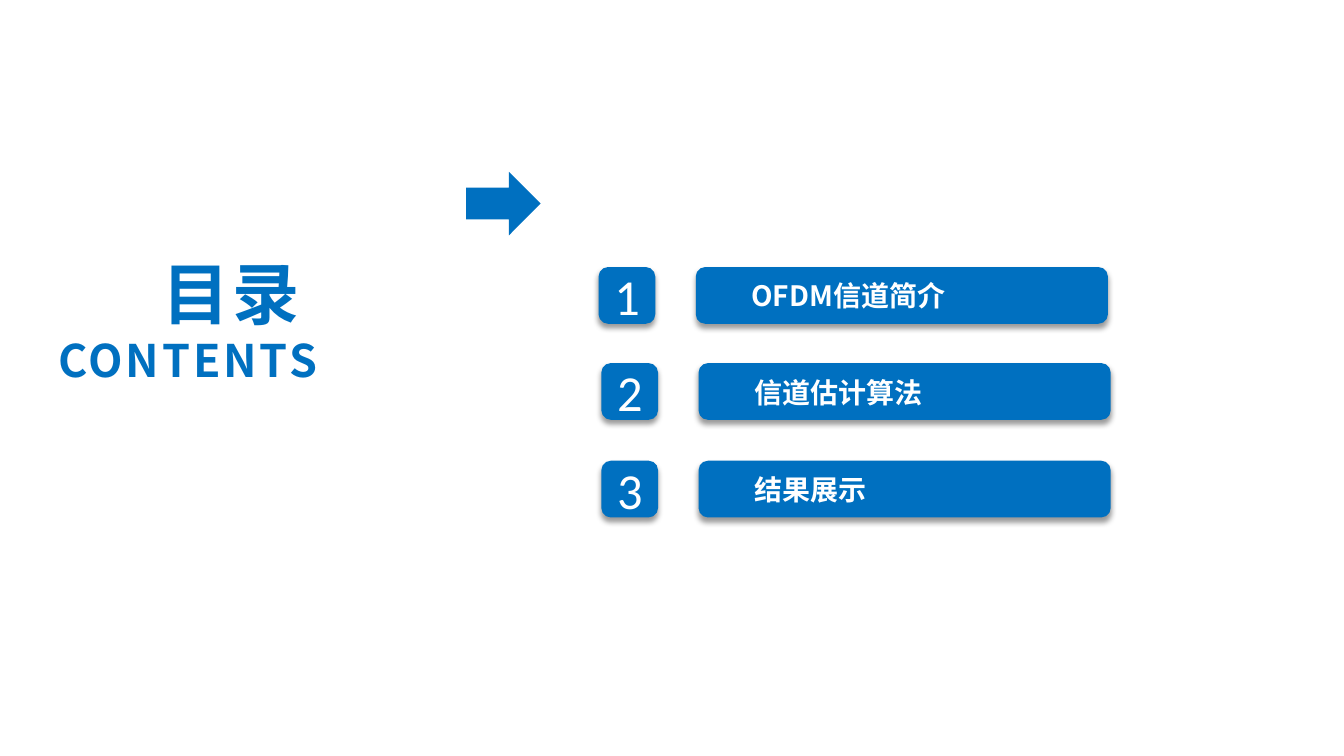
"""Build a contents slide with a title, an arrow and three numbered entries."""
from dataclasses import dataclass

from lxml import etree
from pptx import Presentation
from pptx.dml.color import RGBColor
from pptx.enum.shapes import MSO_SHAPE
from pptx.enum.text import MSO_ANCHOR, MSO_AUTO_SIZE, PP_ALIGN
from pptx.oxml.ns import qn
from pptx.shapes.autoshape import Shape
from pptx.text.text import TextFrame
from pptx.util import Cm, Pt

ROUNDED = MSO_SHAPE.ROUNDED_RECTANGLE
DOWN_ARROW = MSO_SHAPE.DOWN_ARROW
TOP, MIDDLE = MSO_ANCHOR.TOP, MSO_ANCHOR.MIDDLE
LEFT, CENTER, RIGHT = PP_ALIGN.LEFT, PP_ALIGN.CENTER, PP_ALIGN.RIGHT
FIT_SHAPE, NO_FIT = MSO_AUTO_SIZE.SHAPE_TO_FIT_TEXT, MSO_AUTO_SIZE.NONE
TITLE_ONLY_LAYOUT = 5

TILE_SIZE = 1.43
BAR_WIDTH = 10.39
BAR_OFFSET = 2.45
LABEL_OFFSET = 1.07
LABEL_DROP = 0.12
LABEL_HEIGHT = 1.19


@dataclass(frozen=True)
class Theme:
    blue: RGBColor = RGBColor(0x00, 0x70, 0xC0)
    white: RGBColor = RGBColor(0xFF, 0xFF, 0xFF)
    shadow: str = "000000"
    heading_font: str = "Noto Sans CJK SC"
    number_font: str = "Calibri"
    title_size: int = 48
    subtitle_size: int = 32
    number_size: int = 36
    label_size: int = 20


@dataclass(frozen=True)
class Entry:
    number: str
    label: str
    left: float
    top: float
    label_width: float


THEME = Theme()
ENTRIES = [
    Entry("1", "OFDM信道简介", 15.09, 6.73, 7.37),
    Entry("2", "信道估计算法", 15.16, 9.15, 7.59),
    Entry("3", "结果展示", 15.16, 11.61, 7.59),
]


def prepare_frame(frame: TextFrame, anchor: MSO_ANCHOR, auto_size: MSO_AUTO_SIZE) -> None:
    frame.word_wrap = True
    frame.auto_size = auto_size
    frame.vertical_anchor = anchor
    frame.margin_left = frame.margin_right = Cm(0.33)
    frame.margin_top = frame.margin_bottom = Cm(0.18)


def write_text(frame: TextFrame, text: str, *, size: int, font: str, color: RGBColor,
               align: PP_ALIGN = LEFT, bold: bool = False, spacing: int = 0,
               new_paragraph: bool = False) -> None:
    paragraph = frame.add_paragraph() if new_paragraph else frame.paragraphs[0]
    paragraph.alignment = align
    run = paragraph.add_run()
    run.text = text
    run.font.size = Pt(size)
    run.font.bold = bold
    run.font.name = font
    run.font.color.rgb = color
    properties = run.font._element
    etree.SubElement(properties, qn("a:ea"), typeface=font)
    if spacing:
        properties.set("spc", str(spacing * 100))


def add_blue_shape(shapes, kind: MSO_SHAPE, left: float, top: float,
                   width: float, height: float) -> Shape:
    shape = shapes.add_shape(kind, Cm(left), Cm(top), Cm(width), Cm(height))
    shape.fill.solid()
    shape.fill.fore_color.rgb = THEME.blue
    shape.line.fill.background()
    shape.shadow.inherit = False
    return shape


def add_shadow(shape: Shape) -> None:
    effects = shape._element.spPr.find(qn("a:effectLst"))
    shadow = etree.SubElement(effects, qn("a:outerShdw"), blurRad=str(Pt(4)),
                              dist=str(Pt(3)), dir="5400000", rotWithShape="0")
    color = etree.SubElement(shadow, qn("a:srgbClr"), val=THEME.shadow)
    etree.SubElement(color, qn("a:alpha"), val="40000")


def add_entry(slide, entry: Entry) -> None:
    tile = add_blue_shape(slide.shapes, ROUNDED, entry.left, entry.top, TILE_SIZE, TILE_SIZE)
    add_shadow(tile)
    prepare_frame(tile.text_frame, MIDDLE, NO_FIT)
    write_text(tile.text_frame, entry.number, size=THEME.number_size,
               font=THEME.number_font, color=THEME.white, align=CENTER)

    group = slide.shapes.add_group_shape()
    bar_left = entry.left + BAR_OFFSET
    bar = add_blue_shape(group.shapes, ROUNDED, bar_left, entry.top, BAR_WIDTH, TILE_SIZE)
    add_shadow(bar)
    label = group.shapes.add_textbox(Cm(bar_left + LABEL_OFFSET), Cm(entry.top + LABEL_DROP),
                                     Cm(entry.label_width), Cm(LABEL_HEIGHT))
    prepare_frame(label.text_frame, TOP, FIT_SHAPE)
    write_text(label.text_frame, entry.label, size=THEME.label_size,
               font=THEME.heading_font, color=THEME.white, bold=True)


def add_title(slide) -> None:
    title = slide.shapes.title
    title.left, title.top, title.width, title.height = Cm(0.53), Cm(6.17), Cm(7.8), Cm(3.76)
    frame = title.text_frame
    prepare_frame(frame, TOP, FIT_SHAPE)
    style = dict(font=THEME.heading_font, color=THEME.blue, align=RIGHT, bold=True, spacing=2)
    write_text(frame, "目录 ", size=THEME.title_size, **style)
    write_text(frame, "CONTENTS", size=THEME.subtitle_size, new_paragraph=True, **style)


def main() -> None:
    presentation = Presentation()
    presentation.slide_width, presentation.slide_height = Cm(33.88), Cm(19.05)
    slide = presentation.slides.add_slide(presentation.slide_layouts[TITLE_ONLY_LAYOUT])
    for entry in ENTRIES:
        add_entry(slide, entry)
    add_title(slide)
    arrow = add_blue_shape(slide.shapes, DOWN_ARROW, 11.89, 4.19, 1.6, 1.88)
    arrow.rotation = 270
    presentation.save("out.pptx")


if __name__ == "__main__":
    main()
